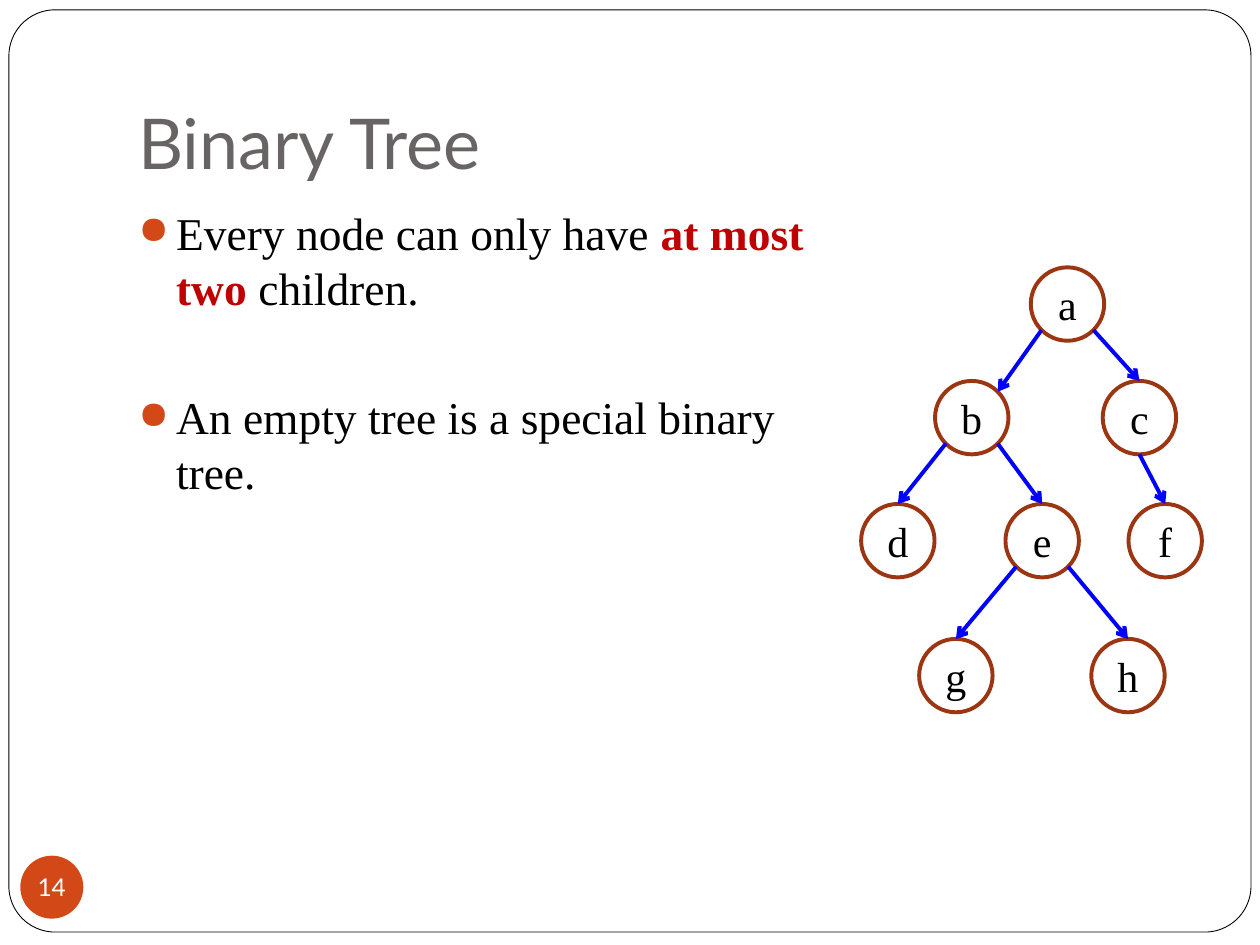
from math import cos, radians, sin

from lxml import etree
from pptx import Presentation
from pptx.dml.color import RGBColor
from pptx.enum.shapes import MSO_CONNECTOR, MSO_SHAPE
from pptx.enum.text import MSO_ANCHOR, PP_ALIGN
from pptx.oxml.ns import qn
from pptx.util import Cm, Pt

BLACK = RGBColor(0x00, 0x00, 0x00)
WHITE = RGBColor(0xFF, 0xFF, 0xFF)
GREY = RGBColor(0x69, 0x64, 0x64)
ORANGE = RGBColor(0xD3, 0x48, 0x17)
BROWN = RGBColor(0x9C, 0x35, 0x11)
RED = RGBColor(0xC0, 0x00, 0x00)
BLUE = RGBColor(0x00, 0x00, 0xFF)

HEADING_FONT = "Lato"
BODY_FONT = "Times New Roman"

# Tree layout in centimetres: left edge and top edge of each node
NODE_SIZE = 1.48
LEVELS = [5.39, 7.68, 10.16, 12.88]
NODES = {
    "a": (20.78, LEVELS[0]),
    "b": (18.85, LEVELS[1]), "c": (22.23, LEVELS[1]),
    "d": (17.36, LEVELS[2]), "e": (20.27, LEVELS[2]), "f": (22.75, LEVELS[2]),
    "g": (18.53, LEVELS[3]), "h": (22.00, LEVELS[3]),
}

# Points on a node's rim, in degrees clockwise from the right
TOP, TOP_RIGHT, LOWER_RIGHT, BOTTOM, LOWER_LEFT = 270, 315, 45, 90, 135
EDGES = [
    ("a", LOWER_LEFT, "b", TOP_RIGHT), ("a", LOWER_RIGHT, "c", TOP),
    ("b", LOWER_LEFT, "d", TOP), ("b", LOWER_RIGHT, "e", TOP),
    ("c", BOTTOM, "f", TOP),
    ("e", LOWER_LEFT, "g", TOP), ("e", LOWER_RIGHT, "h", TOP),
]


def style_font(font, name, size, color, bold=False):
    font.name = name
    font.size = Pt(size)
    font.color.rgb = color
    font.bold = bold


def add_outline(slide, kind, box, fill=None, line=None, width=0.5):
    shape = slide.shapes.add_shape(kind, *(Cm(v) for v in box))
    shape.shadow.inherit = False
    if fill is None:
        shape.fill.background()
    else:
        shape.fill.solid()
        shape.fill.fore_color.rgb = fill
    if line is None:
        shape.line.fill.background()
    else:
        shape.line.color.rgb = line
        shape.line.width = Pt(width)
    return shape


def label(shape, text, font_name, size, color):
    frame = shape.text_frame
    frame.margin_left = frame.margin_right = 0
    frame.margin_top = frame.margin_bottom = 0
    frame.word_wrap = False
    frame.vertical_anchor = MSO_ANCHOR.MIDDLE
    frame.text = text
    paragraph = frame.paragraphs[0]
    paragraph.alignment = PP_ALIGN.CENTER
    style_font(paragraph.runs[0].font, font_name, size, color)


def add_text_frame(slide, box, anchor):
    frame = slide.shapes.add_textbox(*(Cm(v) for v in box)).text_frame
    frame.word_wrap = True
    frame.vertical_anchor = anchor
    return frame


def add_bullet(paragraph):
    properties = paragraph._p.get_or_add_pPr()
    properties.set("marL", str(Cm(0.76)))
    properties.set("indent", str(-Cm(0.76)))
    color = etree.SubElement(properties, qn("a:buClr"))
    etree.SubElement(color, qn("a:srgbClr"), val=str(ORANGE))
    etree.SubElement(properties, qn("a:buSzPct"), val="85000")
    etree.SubElement(properties, qn("a:buChar"), char="●")


def write_bullet(paragraph, parts):
    add_bullet(paragraph)
    for text, color, bold in parts:
        run = paragraph.add_run()
        run.text = text
        style_font(run.font, BODY_FONT, 26, color, bold)


def rim_point(node, angle):
    left, top = NODES[node]
    radius = NODE_SIZE / 2
    return (Cm(left + radius + radius * cos(radians(angle))),
            Cm(top + radius + radius * sin(radians(angle))))


def add_edge(slide, circles, parent, leave, child, arrive):
    edge = slide.shapes.add_connector(
        MSO_CONNECTOR.STRAIGHT, *rim_point(parent, leave), *rim_point(child, arrive))
    if arrive == TOP:
        edge.end_connect(circles[child], 0)
    edge.line.color.rgb = BLUE
    edge.line.width = Pt(2.25)
    etree.SubElement(edge.line._get_or_add_ln(), qn("a:tailEnd"), type="arrow")
    etree.SubElement(edge._element.spPr, qn("a:effectLst"))


def add_tree(slide):
    circles = {}
    for name, (left, top) in NODES.items():
        circles[name] = add_outline(
            slide, MSO_SHAPE.OVAL, (left, top, NODE_SIZE, NODE_SIZE),
            line=BROWN, width=2.25)
        label(circles[name], name, BODY_FONT, 24, BLACK)
    for edge in EDGES:
        add_edge(slide, circles, *edge)


def main():
    presentation = Presentation()
    presentation.slide_width = Cm(25.4)
    presentation.slide_height = Cm(19.05)
    slide = presentation.slides.add_slide(presentation.slide_layouts[6])

    # Page border
    border = add_outline(slide, MSO_SHAPE.ROUNDED_RECTANGLE,
                         (0.18, 0.2, 25.04, 18.59), WHITE, BLACK)
    border.adjustments[0] = 0.05

    # Title
    title = add_text_frame(slide, (2.54, 0.76, 21.59, 3.18), MSO_ANCHOR.BOTTOM)
    title.margin_bottom = Cm(0.25)
    title.text = "Binary Tree"
    style_font(title.paragraphs[0].runs[0].font, HEADING_FONT, 40, GREY)

    # Slide number
    badge = add_outline(slide, MSO_SHAPE.OVAL, (0.41, 17.25, 1.27, 1.27), ORANGE)
    label(badge, "14", HEADING_FONT, 14, WHITE)

    # Definition
    definition = add_text_frame(slide, (2.54, 4.01, 14.4, 12.7), MSO_ANCHOR.TOP)
    write_bullet(definition.paragraphs[0], [
        ("Every node can only have ", BLACK, False),
        ("at most two", RED, True),
        (" children.", BLACK, False),
    ])
    special_case = definition.add_paragraph()
    special_case.space_before = Pt(43)
    write_bullet(special_case, [
        ("An empty tree is a special binary tree.", BLACK, False)])

    # Tree diagram
    add_tree(slide)

    presentation.save("out.pptx")


if __name__ == "__main__":
    main()
